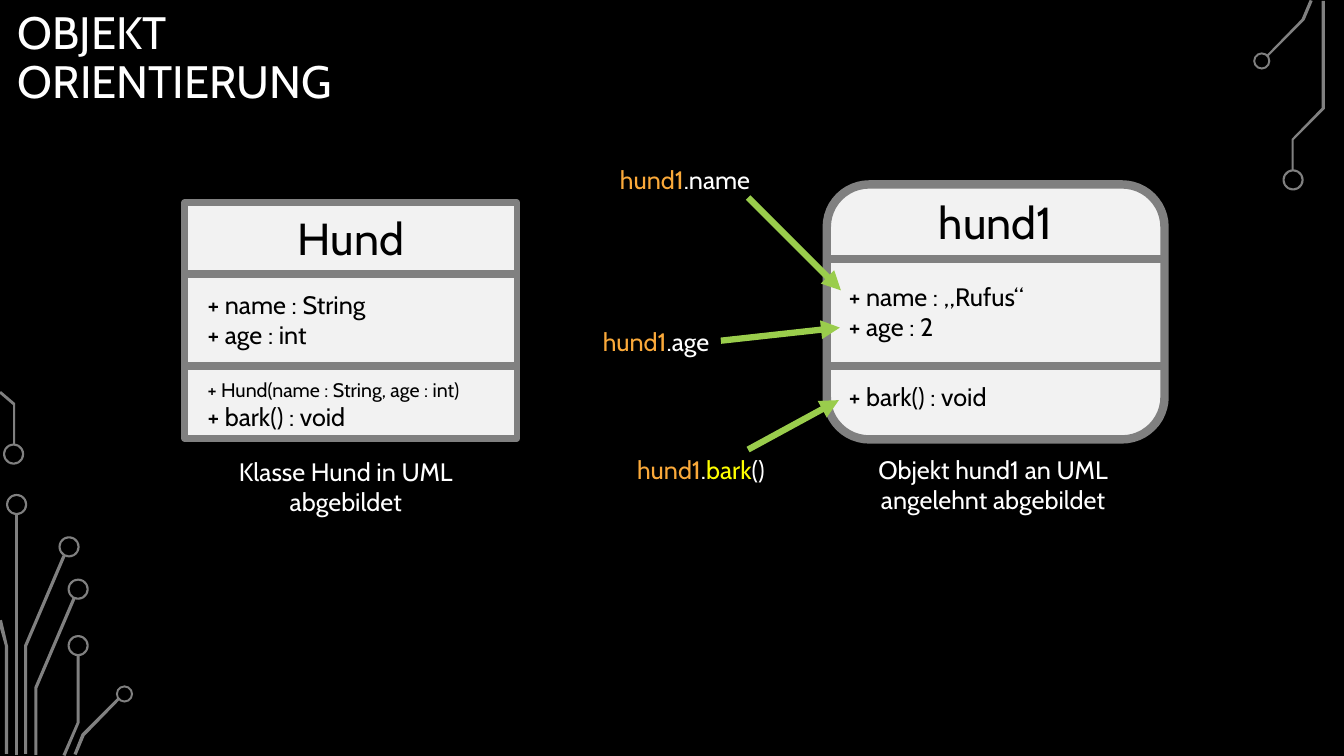
from dataclasses import dataclass

from lxml import etree
from pptx import Presentation
from pptx import util as u
from pptx.dml.color import RGBColor
from pptx.enum import shapes, text
from pptx.oxml import ns

PX = 9144  # EMU per px, 100 px to the inch


@dataclass(frozen=True)
class Theme:
    font: str = "Cabin"
    background: str = "000000"
    white: str = "FFFFFF"
    black: str = "000000"
    grey: str = "808080"
    card: str = "F2F2F2"
    arrow: str = "9ACD4C"
    orange: str = "FAA93A"
    yellow: str = "FFFF00"
    title: float = 32.4
    heading: int = 32
    body: int = 18
    small: int = 14
    thin: float = 4.5
    thick: float = 6


class Board:
    def __init__(self, slide, theme):
        self.slide = slide
        self.theme = theme
        self.paint(slide.background.fill, theme.background)

    def paint(self, fill, color):
        fill.solid()
        fill.fore_color.rgb = RGBColor.from_string(color)

    def finish(self, shape, color, line_width=None):
        shape.shadow.inherit = False
        self.paint(shape.fill, color)
        if line_width:
            self.paint(shape.line.fill, self.theme.grey)
            shape.line.width = u.Pt(line_width)
        else:
            shape.line.fill.background()

    def shape(self, kind, box, color, line_width=None):
        shape = self.slide.shapes.add_shape(kind, *[n * PX for n in box])
        self.finish(shape, color, line_width)
        return shape

    def trace(self, points):
        builder = self.slide.shapes.build_freeform(*points[0], scale=PX)
        builder.add_line_segments(points[1:], close=True)
        self.finish(builder.convert_to_shape(), self.theme.grey)

    def ring(self, left, top, size):
        shape = self.shape(shapes.MSO_SHAPE.DONUT, (left, top, size, size), self.theme.grey)
        shape.adjustments[0] = 2 / size

    def line(self, start, end, color, width, arrow=False):
        connector = self.slide.shapes.add_connector(
            shapes.MSO_CONNECTOR.STRAIGHT, *[n * PX for n in (*start, *end)])
        self.paint(connector.line.fill, color)
        connector.line.width = u.Pt(width)
        if arrow:
            etree.SubElement(connector.line._get_or_add_ln(), ns.qn("a:tailEnd"), type="triangle")
        etree.SubElement(connector._element.spPr, ns.qn("a:effectLst"))

    def text(self, box, paragraphs, centered=False):
        """Each paragraph is a list of (words, size, color) runs."""
        shape = self.slide.shapes.add_textbox(*[n * PX for n in box])
        frame = shape.text_frame
        frame.word_wrap = True
        frame.auto_size = text.MSO_AUTO_SIZE.SHAPE_TO_FIT_TEXT
        for index, runs in enumerate(paragraphs):
            paragraph = frame.add_paragraph() if index else frame.paragraphs[0]
            if centered:
                paragraph.alignment = text.PP_ALIGN.CENTER
            for words, size, color in runs:
                self.run(paragraph, words, size, color)

    def run(self, paragraph, words, size, color):
        run = paragraph.add_run()
        run.text = words
        run.font.name = self.theme.font
        run.font.size = u.Pt(size)
        run.font.color.rgb = RGBColor.from_string(color)

    def title(self, box, lines):
        frame = self.slide.shapes.add_textbox(*[n * PX for n in box]).text_frame
        frame.word_wrap = True
        frame.vertical_anchor = text.MSO_ANCHOR.MIDDLE
        paragraph = frame.paragraphs[0]
        paragraph.line_spacing = 0.9
        for index, words in enumerate(lines):
            if index:
                paragraph.add_line_break()
            self.run(paragraph, words, self.theme.title, self.theme.white)

    def card(self, kind, box, line_width, dividers):
        left, _, width, _ = box
        self.shape(kind, box, self.theme.card, line_width)
        for y in dividers:
            self.line((left, y), (left + width, y), self.theme.grey, self.theme.thick)


TRACES = [
    [(15, 441), (13, 441), (13, 402), (-1, 390), (1, 388), (15, 400)],
    [(15, 510), (18, 510), (18, 749), (15, 749)],
    [(27, 748), (24, 748), (24, 640), (62, 551), (65, 552), (27, 641)],
    [(8, 748), (5, 748), (5, 641), (-2, 616), (2, 615), (8, 641)],
    [(37, 749), (34, 749), (34, 682), (72, 593), (75, 594), (37, 683)],
    [(65, 750), (62, 749), (76, 717), (76, 650), (79, 650), (79, 717)],
    [(76, 749), (73, 748), (81, 728), (117, 692), (119, 694), (84, 730)],
    [(1258, 56), (1256, 55), (1291, 19), (1299, 0), (1302, 1), (1294, 20)],
    [(1283, 169), (1281, 169), (1281, 138), (1311, 107), (1311, 1), (1314, 1),
     (1314, 108), (1283, 139)],
]
RINGS = [(3, 440, 21), (6, 490, 21), (58, 532, 21), (67, 574, 21), (67, 630, 21),
         (115, 680, 17), (1243, 52, 17), (1272, 168, 21)]


def main():
    presentation = Presentation()
    presentation.slide_width = 1333 * PX
    presentation.slide_height = 750 * PX
    theme = Theme()
    board = Board(presentation.slides.add_slide(presentation.slide_layouts[6]), theme)

    # Circuit decoration
    for points in TRACES:
        board.trace(points)
    for ring in RINGS:
        board.ring(*ring)

    board.title((8, 18, 746, 81), ["OBJEKT", "ORIENTIERUNG"])

    # Object and class cards
    board.card(shapes.MSO_SHAPE.ROUNDED_RECTANGLE, (820, 183, 335, 253), theme.thick, (257, 363))
    board.card(shapes.MSO_SHAPE.RECTANGLE, (183, 201, 330, 234), theme.thin, (272, 363))

    # Headings and captions
    for box, words, size, color in [
        ((183, 204, 330, 64), "Hund", theme.heading, theme.black),
        ((921, 188, 133, 64), "hund1", theme.heading, theme.black),
        ((178, 448, 330, 71), "Klasse Hund in UML abgebildet", theme.body, theme.white),
        ((820, 446, 330, 71), "Objekt hund1 an UML angelehnt abgebildet", theme.body, theme.white),
    ]:
        board.text(box, [[(words, size, color)]], centered=True)

    # Attributes and methods
    for box, members in [
        ((196, 282, 305, 71), [("+ name : String", theme.body), ("+ age : int", theme.body)]),
        ((196, 370, 305, 64), [("+ Hund(name : String, age : int)", theme.small),
                               ("+ bark() : void", theme.body)]),
        ((832, 274, 305, 71), [("+ name : „Rufus“", theme.body), ("+ age : 2", theme.body)]),
        ((832, 373, 305, 40), [("+ bark() : void", theme.body)]),
    ]:
        board.text(box, [[(words, size, theme.black)] for words, size in members])

    # Member access labels with their arrows
    for corner, start, end, access in [
        ((605, 158), (742, 196), (834, 288), [(".name", theme.white)]),
        ((588, 319), (715, 338), (833, 325), [(".age", theme.white)]),
        ((622, 446), (742, 446), (832, 397),
         [(".", theme.white), ("bark", theme.yellow), ("()", theme.white)]),
    ]:
        board.line(start, end, theme.arrow, theme.thin, arrow=True)
        parts = [("hund1", theme.orange), *access]
        board.text((*corner, 185, 40), [[(words, theme.body, color) for words, color in parts]])

    presentation.save("out.pptx")


if __name__ == "__main__":
    main()
